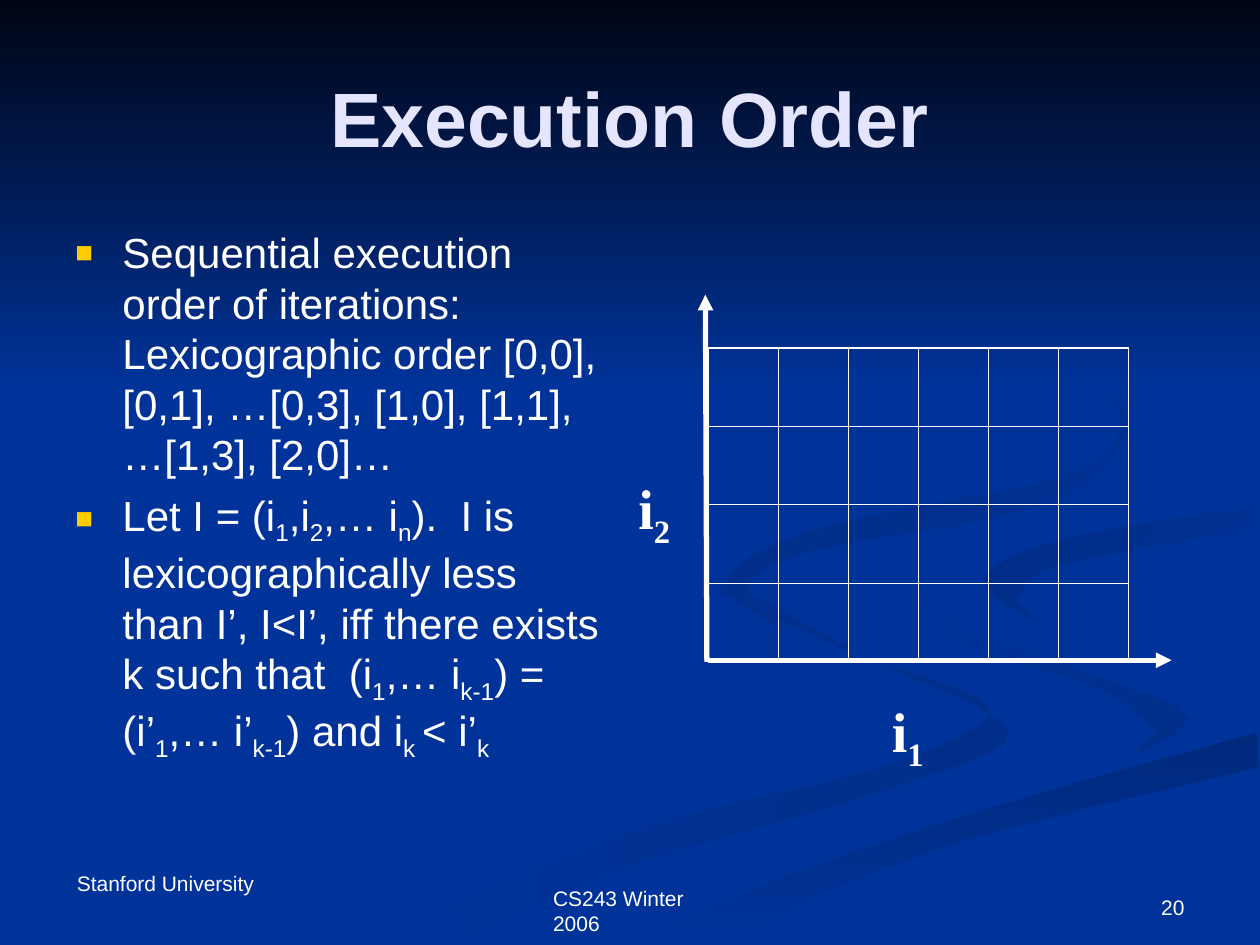
from dataclasses import dataclass

from lxml.etree import SubElement
from pptx import Presentation
from pptx.dml.color import RGBColor
from pptx.enum.shapes import MSO_CONNECTOR as Connector, MSO_SHAPE as Preset
from pptx.enum.text import MSO_ANCHOR as Anchor, PP_ALIGN as Align
from pptx.oxml.ns import qn
from pptx.util import Cm, Pt


@dataclass(frozen=True)
class Theme:
    blue: str = "003399"
    night: str = "000514"
    title: str = "E5E5FF"
    text: str = "FFFFFF"
    bullet: str = "FFCC00"
    sans: str = "Arial"
    serif: str = "Times New Roman"
    title_size: int = 44
    label_size: int = 32
    body_size: int = 24
    footer_size: int = 12
    frame_line: float = 1.08
    grid_line: float = 0.45
    axis_line: float = 3


THEME = Theme()


@dataclass(frozen=True)
class Swirl:
    start: str
    end: str
    angle: int  # clockwise degrees
    edges: tuple  # smooth edges, in hundredths of an inch


@dataclass(frozen=True)
class TextItem:
    left: float
    top: float
    width: float
    height: float
    paras: tuple  # every second part between bars is a subscript
    size: int
    font: str = THEME.sans
    color: str = THEME.text
    bold: bool = False
    align: Align = Align.LEFT
    anchor: Anchor = Anchor.TOP
    wrap: bool = True
    bullets: bool = False


@dataclass(frozen=True)
class Axis:
    x1: float
    y1: float
    x2: float
    y2: float


SWIRL_UNIT = Cm(0.0254)
CURVE_STEPS = 6
SWIRLS = (
    Swirl("002E8A", THEME.blue, 180, (
        ((361, 749), (499, 687), (699, 628), (800, 581), (682, 519), (575, 459)),
        ((570, 470), (679, 519), (785, 562), (699, 609), (499, 661), (300, 749)))),
    Swirl("002E8A", THEME.blue, 225, (
        ((724, 464), (774, 503), (905, 540), (943, 570), (894, 605)),
        ((918, 581), (868, 544), (766, 512), (724, 464)))),
    Swirl("00297C", THEME.blue, 90, (
        ((503, 749), (630, 693), (797, 638), (998, 581)),
        ((998, 609), (785, 661), (649, 710), (571, 749)))),
    Swirl(THEME.blue, THEME.blue, 0, (
        ((999, 387), (808, 417), (725, 464), (812, 515), (943, 570), (843, 618),
         (663, 668), (477, 749)),
        ((503, 749), (630, 693), (797, 638), (999, 581)),
        ((999, 538), (866, 509), (781, 463), (850, 427), (999, 402)))),
    Swirl(THEME.blue, "002C85", 225, (
        ((998, 402), (849, 427), (781, 460), (826, 496)),
        ((805, 476), (843, 448), (998, 420)))),
    Swirl(THEME.blue, "002B81", 225, (
        ((622, 500), (577, 462), (649, 420), (842, 378), (889, 335), (846, 279), (762, 233)),
        ((864, 291), (894, 344), (825, 402), (649, 436), (594, 465), (622, 500)))),
)

BODY = (
    "Sequential execution order of iterations: Lexicographic order "
    "[0,0], [0,1], …[0,3], [1,0], [1,1], …[1,3], [2,0]…",
    "Let I = (i|1|,i|2|,… i|n|).  I is lexicographically less than I’, I<I’, iff there exists "
    "k such that  (i|1|,… i|k-1|) = (i’|1|,… i’|k-1|) and i|k |< i’|k",
)
LABEL = dict(width=1.27, height=1.8, size=THEME.label_size, font=THEME.serif, bold=True, wrap=False)
TEXTS = (
    TextItem(10.9, 17.73, 4.19, 0.76, ("CS243 Winter 2006",), THEME.footer_size, wrap=False),
    TextItem(1.3, 17.42, 4.78, 0.76, ("Stanford University",), THEME.footer_size),
    TextItem(18.21, 17.35, 5.92, 1.31, ("20",), THEME.footer_size,
             align=Align.RIGHT, anchor=Anchor.BOTTOM),
    TextItem(1.27, 0.76, 22.86, 3.18, ("Execution Order",), THEME.title_size,
             color=THEME.title, bold=True, align=Align.CENTER, anchor=Anchor.MIDDLE),
    TextItem(1.27, 4.45, 11.23, 12.57, BODY, THEME.body_size, bullets=True),
    TextItem(left=17.73, top=13.92, paras=("i|1",), **LABEL),
    TextItem(left=12.62, top=9.42, paras=("i|2",), **LABEL),
)
AXES = (Axis(14.27, 13.31, 23.62, 13.31), Axis(14.25, 13.34, 14.22, 5.94))
ROWS, COLUMNS = 4, 6


def paint(shape, start: str, end: str, angle: int) -> None:
    shape.shadow.inherit = False
    shape.line.fill.background()
    shape.fill.gradient()
    shape.fill.gradient_angle = (360 - angle) % 360
    for stop, color in zip(shape.fill.gradient_stops, (start, end)):
        stop.color.rgb = RGBColor.from_string(color)


def smooth(edge: tuple) -> list:
    """Return points of a Catmull-Rom curve through the edge."""
    padded = (edge[0], *edge, edge[-1])
    curve = []
    for knots in zip(padded, padded[1:], padded[2:], padded[3:]):
        for step in range(CURVE_STEPS):
            t = step / CURVE_STEPS
            curve.append(tuple(
                b + t * (c - a + t * (2 * a - 5 * b + 4 * c - d + t * (3 * (b - c) + d - a))) / 2
                for a, b, c, d in zip(*knots)))
    return curve + [edge[-1]]


def draw_swirl(page, swirl: Swirl) -> None:
    first, *rest = [point for edge in swirl.edges for point in smooth(edge)]
    outline = page.shapes.build_freeform(*first, scale=SWIRL_UNIT)
    outline.add_line_segments(rest, close=True)
    paint(outline.convert_to_shape(), swirl.start, swirl.end, swirl.angle)


def add_bullet(para) -> None:
    props = para._p.get_or_add_pPr()
    props.set("marL", str(Cm(0.95)))
    props.set("indent", str(-Cm(0.95)))
    SubElement(SubElement(props, qn("a:buClr")), qn("a:srgbClr")).set("val", THEME.bullet)
    SubElement(props, qn("a:buSzPct")).set("val", "70000")
    SubElement(props, qn("a:buFont")).set("typeface", THEME.sans)
    SubElement(props, qn("a:buChar")).set("char", "■")


def draw_text(page, item: TextItem) -> None:
    box = page.shapes.add_textbox(*map(Cm, (item.left, item.top, item.width, item.height)))
    frame = box.text_frame
    frame.word_wrap = item.wrap
    frame.vertical_anchor = item.anchor
    for index, text in enumerate(item.paras):
        para = frame.add_paragraph() if index else frame.paragraphs[0]
        para.alignment = item.align
        if index:
            para.space_before = Pt(6)
        if item.bullets:
            add_bullet(para)
        para.font.name, para.font.size, para.font.bold = item.font, Pt(item.size), item.bold
        para.font.color.rgb = RGBColor.from_string(item.color)
        for place, part in enumerate(text.split("|")):
            span = para.add_run()
            span.text = part
            if place % 2:
                span.font._element.set("baseline", "-25000")


def set_border(cell, index: int, side: str, width: float) -> None:
    line = SubElement(cell._tc.get_or_add_tcPr(), qn(f"a:ln{side}"), w=str(Pt(width)))
    SubElement(SubElement(line, qn("a:solidFill")), qn("a:srgbClr")).set("val", THEME.text)
    cell._tc.tcPr.insert(index, line)


def draw_grid(page, left: float, top: float, width: float, height: float) -> None:
    grid = page.shapes.add_table(ROWS, COLUMNS, *map(Cm, (left, top, width, height))).table
    grid.first_row = grid.horz_banding = False
    for row in range(ROWS):
        for column in range(COLUMNS):
            cell = grid.cell(row, column)
            cell.fill.background()
            outer = {"L": column == 0, "R": column == COLUMNS - 1,
                     "T": row == 0, "B": row == ROWS - 1}
            for index, (side, is_outer) in enumerate(outer.items()):
                set_border(cell, index, side, THEME.frame_line if is_outer else THEME.grid_line)


def draw_axis(page, axis: Axis) -> None:
    ends = map(Cm, (axis.x1, axis.y1, axis.x2, axis.y2))
    arrow = page.shapes.add_connector(Connector.STRAIGHT, *ends)
    arrow.line.color.rgb = RGBColor.from_string(THEME.text)
    arrow.line.width = Pt(THEME.axis_line)
    SubElement(arrow.line._get_or_add_ln(), qn("a:tailEnd")).set("type", "triangle")
    SubElement(arrow._element.spPr, qn("a:effectLst"))


def main() -> None:
    deck = Presentation()
    deck.slide_width, deck.slide_height = Cm(25.4), Cm(19.05)
    page = deck.slides.add_slide(deck.slide_layouts[6])
    # Background: swirls under a dark band
    page.background.fill.solid()
    page.background.fill.fore_color.rgb = RGBColor.from_string(THEME.blue)
    for swirl in SWIRLS:
        draw_swirl(page, swirl)
    band = page.shapes.add_shape(Preset.RECTANGLE, 0, 0, deck.slide_width, Cm(7.82))
    paint(band, THEME.night, THEME.blue, 90)
    # Iteration space
    draw_grid(page, 14.27, 7.01, 8.48, 6.32)
    for axis in AXES:
        draw_axis(page, axis)
    # Title, body, axis labels and footer
    for item in TEXTS:
        draw_text(page, item)
    deck.save("out.pptx")


if __name__ == "__main__":
    main()
